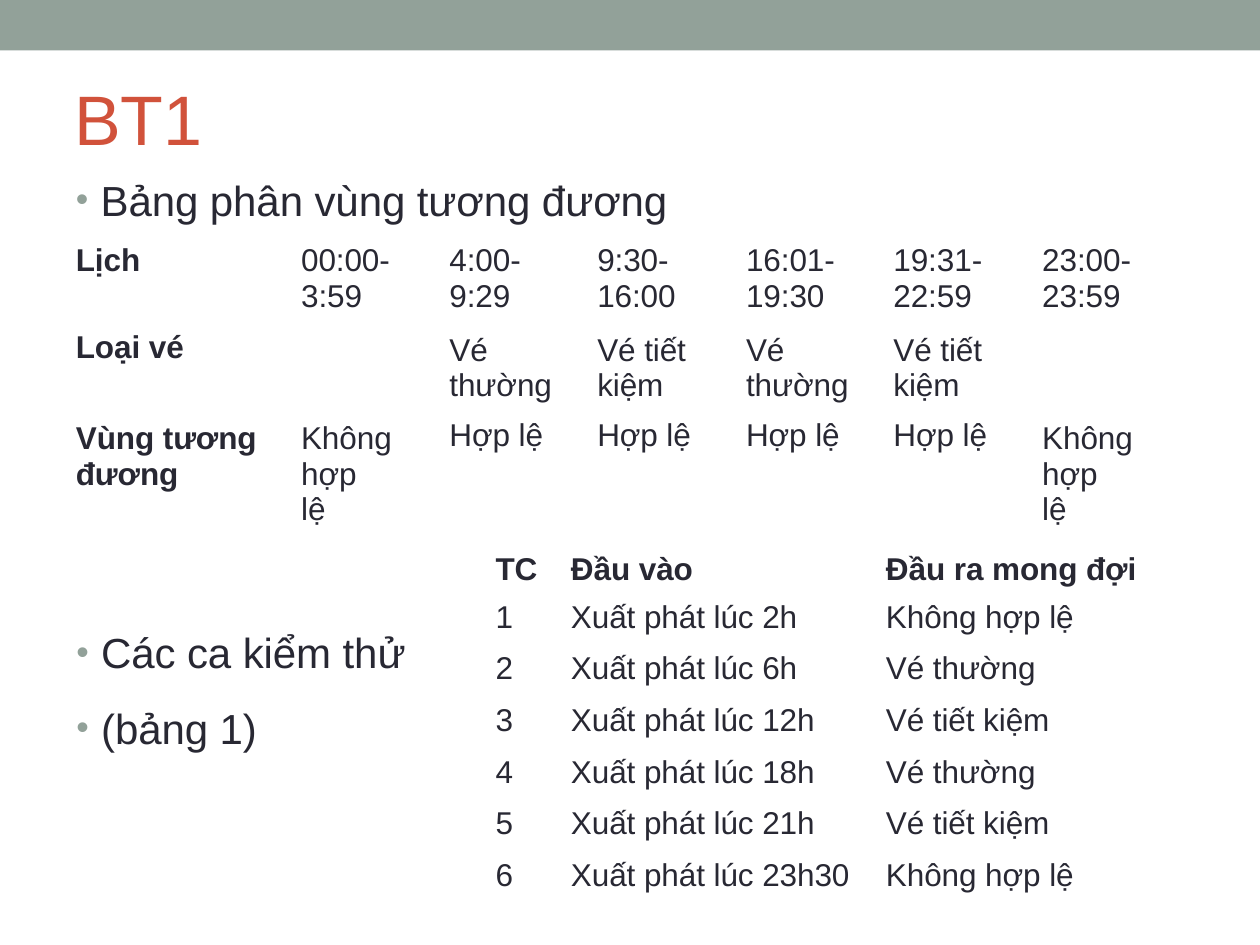
from lxml import etree
from pptx import Presentation
from pptx.dml.color import RGBColor
from pptx.enum.shapes import MSO_SHAPE
from pptx.enum.text import MSO_ANCHOR, PP_ALIGN
from pptx.oxml.ns import qn
from pptx.util import Cm, Pt

SAGE = RGBColor(0x92, 0xA1, 0x99)
RUST = RGBColor(0xD1, 0x52, 0x3B)
INK = RGBColor(0x28, 0x28, 0x33)
FONT = "Arial"

FRAME = dict(margin_left=0, margin_right=0, margin_top=Cm(0.03), margin_bottom=0,
             word_wrap=True, vertical_anchor=MSO_ANCHOR.TOP)

# Cell formats: (cell attributes, paragraph attributes)
CELL = dict(margin_left=0, margin_right=0, margin_top=0, margin_bottom=0,
            vertical_anchor=MSO_ANCHOR.TOP)
TIGHT = (CELL, dict(line_spacing=Pt(19.1)))
TIGHT_NEXT = (CELL, dict(line_spacing=Pt(19.9)))
SINGLE = ({**CELL, "margin_top": Cm(0.12)}, {})
WRAPPED = ({**CELL, "margin_top": Cm(0.18)}, dict(line_spacing=Pt(20.2)))
CASE = ({**CELL, "margin_top": Cm(0.1)}, {})

INVALID = "Không\vhợp\vlệ"
SCHEDULE = [
    (0.71, TIGHT, ["Lịch", "00:00-", "4:00-", "9:30-", "16:01-", "19:31-", "23:00-"]),
    (0.89, TIGHT_NEXT, ["", "3:59", "9:29", "16:00", "19:30", "22:59", "23:59"]),
    (1.78, SINGLE, ["Loại vé", "", "Vé thường", "Vé tiết kiệm", "Vé thường",
                    "Vé tiết kiệm", ""]),
    (1.6, SINGLE, ["Vùng tương đương", INVALID, *["Hợp lệ"] * 4, INVALID]),
]
SCHEDULE_COLUMNS = [(4.19, 0.08), (2.84, 0.43), (3.1, 0.58), (2.9, 0.46),
                    (3.07, 0.56), (2.9, 0.46), (2.46, 0.56)]

TEST_CASES = [("2h", "Không hợp lệ"), ("6h", "Vé thường"), ("12h", "Vé tiết kiệm"),
              ("18h", "Vé thường"), ("21h", "Vé tiết kiệm"), ("23h30", "Không hợp lệ")]
CASE_COLUMNS = [(1.27, 0.08), (6.32, 0.33), (5.51, 0.36)]


def apply(target, values):
    for name, value in values.items():
        setattr(target, name, value)


def write(paragraph, text, size, color, bold=False):
    paragraph.text = text
    for run in paragraph.runs:
        apply(run.font, dict(name=FONT, size=Pt(size), bold=bold))
        run.font.color.rgb = color
        run.font._element.set("spc", "-5")


def add_bullet(paragraph, indent):
    properties = paragraph._p.get_or_add_pPr()
    properties.set("marL", str(indent))
    properties.set("indent", str(-Cm(0.5)))
    bullet_color = etree.SubElement(properties, qn("a:buClr"))
    etree.SubElement(bullet_color, qn("a:srgbClr"), val=str(SAGE))
    etree.SubElement(properties, qn("a:buSzPct"), val="85000")
    etree.SubElement(properties, qn("a:buFont"), typeface=FONT)
    etree.SubElement(properties, qn("a:buChar"), char="•")


def build_top_band(slide, left, top, width, height):
    band = slide.shapes.add_shape(MSO_SHAPE.RECTANGLE, left, top, width, height)
    band.shadow.inherit = False
    band.fill.solid()
    band.fill.fore_color.rgb = SAGE
    band.line.fill.background()


def build_title(slide, left, top, width, height):
    title = slide.shapes.title
    apply(title, dict(left=left, top=top, width=width, height=height))
    apply(title.text_frame, FRAME)
    heading = title.text_frame.paragraphs[0]
    heading.alignment = PP_ALIGN.LEFT
    write(heading, "BT1", 40, RUST)


def build_bullets(slide, left, top, width, height, lines, indent, top_inset=Cm(0.03)):
    frame = slide.shapes.add_textbox(left, top, width, height).text_frame
    apply(frame, {**FRAME, "margin_top": top_inset})
    for index, line in enumerate(lines):
        item = frame.add_paragraph() if index else frame.paragraphs[0]
        add_bullet(item, indent)
        if index:
            item.space_before = Pt(14.1)
        write(item, line, 24, INK)


def build_table(slide, left, top, columns, rows, is_bold):
    """Columns are (width, indent) and rows (height, format, texts), in cm."""
    width = Cm(sum(column[0] for column in columns))
    height = Cm(sum(row[0] for row in rows))
    table = slide.shapes.add_table(len(rows), len(columns), left, top, width, height).table
    apply(table, dict(first_row=False, horz_banding=False))
    for column, (column_width, _) in zip(table.columns, columns):
        column.width = Cm(column_width)
    for r, (row_height, row_format, texts) in enumerate(rows):
        table.rows[r].height = Cm(row_height)
        for c, text in enumerate(texts):
            wraps = row_format is SINGLE and len(text) > 8
            cell_values, paragraph_values = WRAPPED if wraps else row_format
            cell = table.cell(r, c)
            cell.fill.background()
            apply(cell, cell_values)
            entry = cell.text_frame.paragraphs[0]
            apply(entry, paragraph_values)
            entry._p.get_or_add_pPr().set("marL", str(Cm(columns[c][1])))
            write(entry, text, 18, INK, is_bold(r, c))


def main():
    deck = Presentation()
    deck.slide_width, deck.slide_height = Cm(25.4), Cm(19.05)
    slide = deck.slides.add_slide(deck.slide_layouts[5])

    # Heading
    build_top_band(slide, 0, 0, deck.slide_width, Cm(1.02))
    build_title(slide, Cm(1.5), Cm(1.5), Cm(2.8), Cm(1.75))

    # Equivalence partitions
    build_bullets(slide, Cm(1.5), Cm(3.48), Cm(12.1), Cm(1.09),
                  ["Bảng phân vùng tương đương"], Cm(0.53))
    build_table(slide, Cm(1.45), Cm(4.93), SCHEDULE_COLUMNS, SCHEDULE,
                lambda r, c: c == 0)

    # Test cases
    build_bullets(slide, Cm(1.43), Cm(12.1), Cm(7), Cm(3.1),
                  ["Các ca kiểm thử", "(bảng 1)"], Cm(0.61), Cm(0.54))
    case_rows = [(0.86, TIGHT_NEXT, ["TC", "Đầu vào", "Đầu ra mong đợi"])]
    for number, (departure, ticket) in enumerate(TEST_CASES, 1):
        case_rows.append((1.04 if number < len(TEST_CASES) else 0.86, CASE,
                          [str(number), f"Xuất phát lúc {departure}", ticket]))
    build_table(slide, Cm(9.91), Cm(11.13), CASE_COLUMNS, case_rows,
                lambda r, c: r == 0)

    deck.save("out.pptx")


if __name__ == "__main__":
    main()
